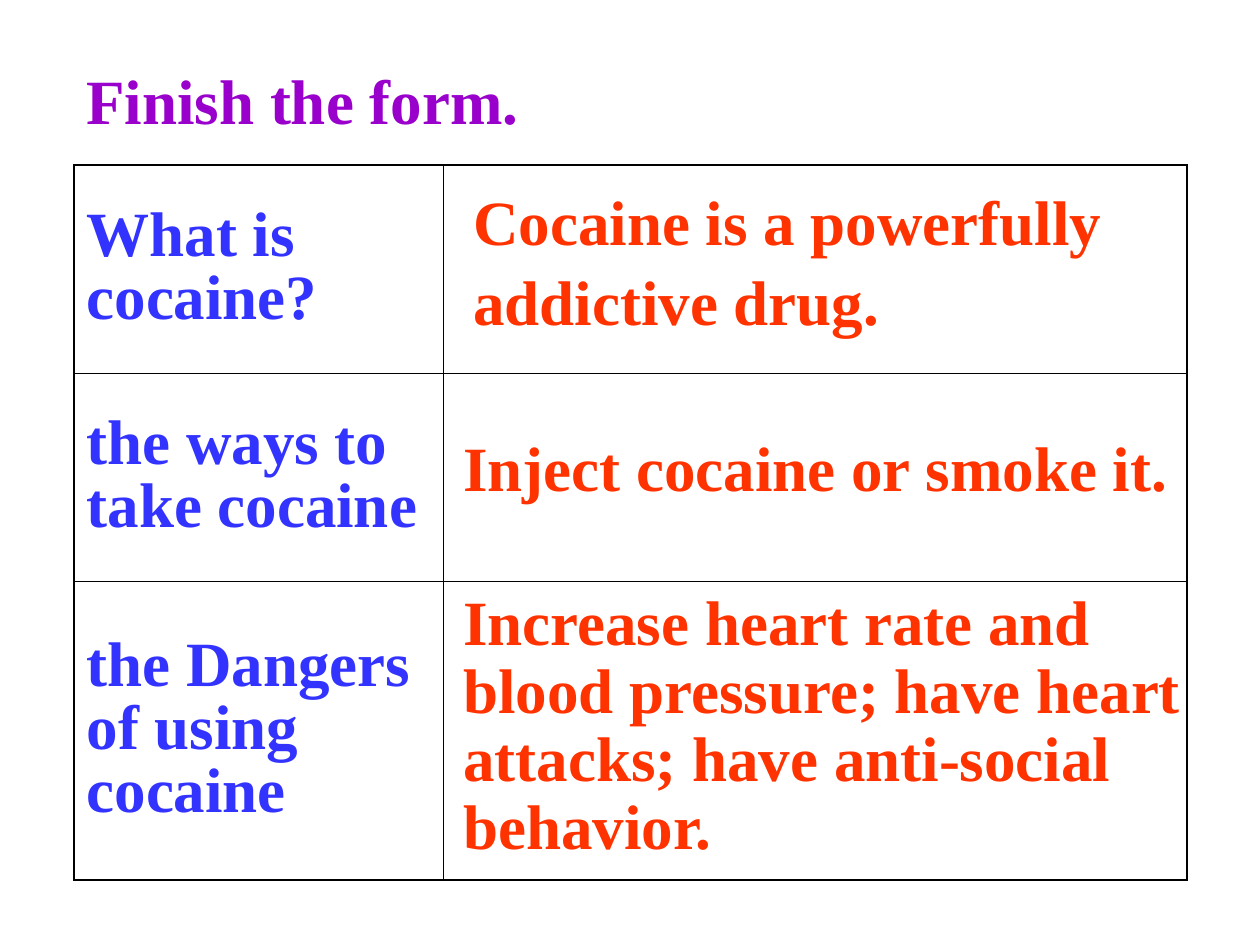
from lxml import etree
from pptx import Presentation
from pptx import util as u
from pptx.dml.color import RGBColor
from pptx.enum import text
from pptx.oxml import ns

SCALE = 914400 / 126
FONT = "Times New Roman"
PURPLE, BLUE, ORANGE, BLACK = "9900CC", "3333FF", "FF3300", "000000"
QUESTIONS = [
    "What is cocaine?",
    "the ways to take cocaine",
    "the Dangers of using cocaine",
]
ANSWERS = [
    ("Cocaine is a powerfully addictive drug.", (387, 8, 735, 171), 1.05, text.MSO_ANCHOR.MIDDLE),
    ("Inject cocaine or smoke it.", (377, 266, 735, 81), 0.9, text.MSO_ANCHOR.TOP),
    ("Increase heart rate and blood pressure; have heart attacks; have anti-social behavior.",
     (377, 420, 745, 285), 0.9, text.MSO_ANCHOR.TOP),
]


def px(length):
    return u.Emu(round(length * SCALE))


def color(value):
    return RGBColor.from_string(value)


def write(frame, wording, fill, spacing):
    paragraph = frame.paragraphs[0]
    paragraph.line_spacing = spacing
    run = paragraph.add_run()
    run.text = wording
    run.font.name = FONT
    run.font.size = u.Pt(36)
    run.font.bold = True
    run.font.color.rgb = color(fill)


def add_label(slide, box, wording, fill, spacing=1.0, anchor=text.MSO_ANCHOR.TOP):
    shape = slide.shapes.add_textbox(*map(px, box))
    frame = shape.text_frame
    frame.word_wrap = True
    frame.auto_size = text.MSO_AUTO_SIZE.SHAPE_TO_FIT_TEXT
    frame.vertical_anchor = anchor
    write(frame, wording, fill, spacing)


def set_border(cell, side, points):
    properties = cell._tc.get_or_add_tcPr()
    line = etree.SubElement(properties, ns.qn(f"a:ln{side}"), w=str(u.Pt(points)))
    solid = etree.SubElement(line, ns.qn("a:solidFill"))
    etree.SubElement(solid, ns.qn("a:srgbClr"), val=BLACK)


def add_form(slide, box):
    left, top, width, height = box
    column_widths, row_heights = (369, width - 369), (208, 208, height - 416)
    table = slide.shapes.add_table(3, 2, *map(px, box)).table
    table.first_row = False
    table.horz_banding = False
    for column, column_width in zip(table.columns, column_widths):
        column.width = px(column_width)
    for row_index, row_height in enumerate(row_heights):
        table.rows[row_index].height = px(row_height)
        for column_index in range(2):
            cell = table.cell(row_index, column_index)
            outer_sides = {
                "L": column_index == 0,
                "R": column_index == 1,
                "T": row_index == 0,
                "B": row_index == 2,
            }
            for side, is_outer in outer_sides.items():
                set_border(cell, side, 1.08 if is_outer else 0.45)
            cell.fill.background()
        question = table.cell(row_index, 0)
        question.vertical_anchor = text.MSO_ANCHOR.MIDDLE
        write(question.text_frame, QUESTIONS[row_index], BLUE, 0.9)
    for wording, (x, y, w, h), spacing, anchor in ANSWERS:
        add_label(slide, (left + x, top + y, w, h), wording, ORANGE, spacing, anchor)


def main():
    presentation = Presentation()
    presentation.slide_width = px(1260)
    presentation.slide_height = px(945)
    slide = presentation.slides.add_slide(presentation.slide_layouts[6])
    add_label(slide, (74, 55, 476, 88), "Finish the form.", PURPLE)
    add_form(slide, (74, 165, 1113, 715))
    presentation.save("out.pptx")


if __name__ == "__main__":
    main()
